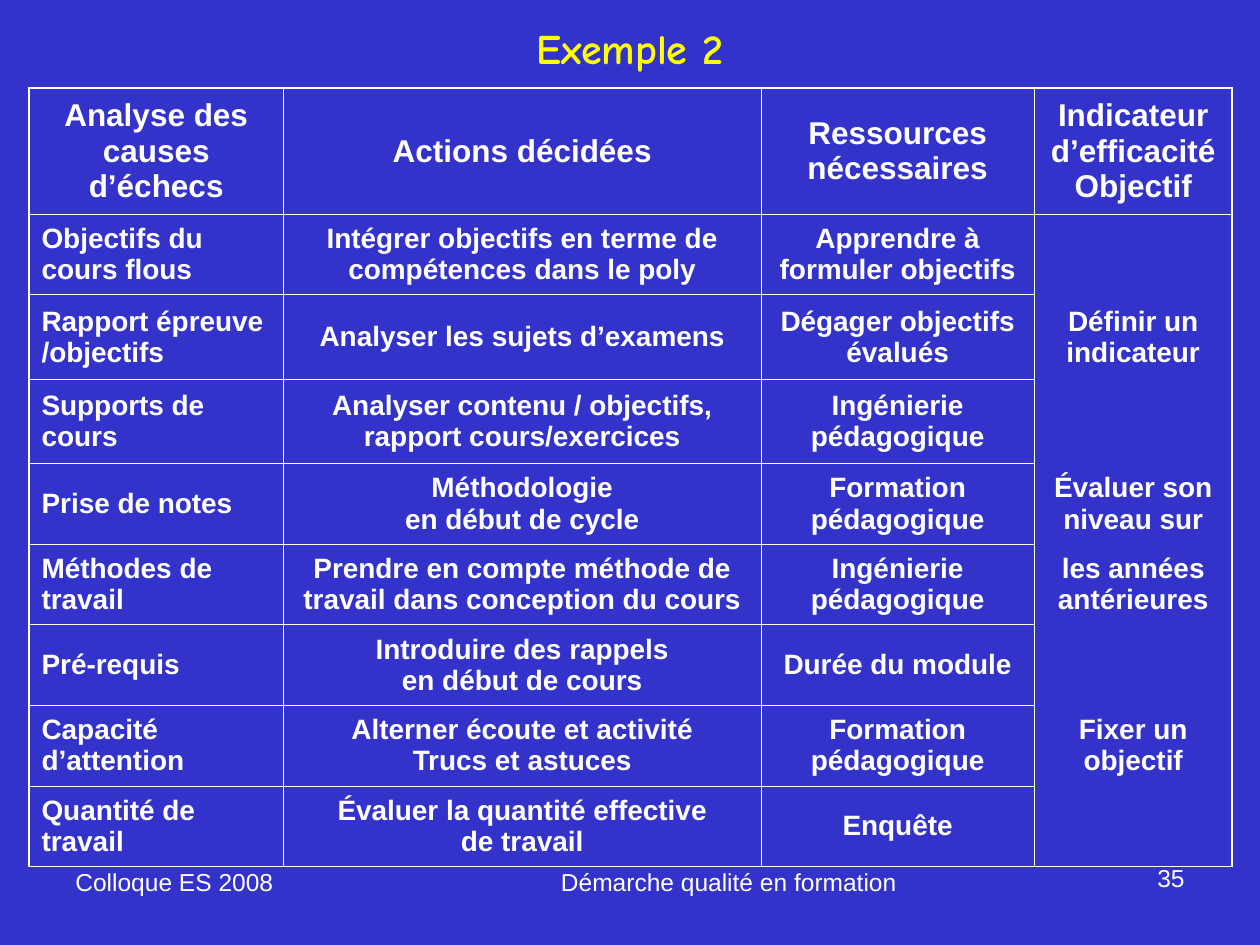
import lxml.etree
import pptx
import pptx.dml.color
import pptx.enum.text
import pptx.oxml.ns
import pptx.util

Inches = pptx.util.Inches
ALIGN = pptx.enum.text.PP_ALIGN
MIDDLE = pptx.enum.text.MSO_ANCHOR.MIDDLE

COLORS = {"background": "3333CC", "title": "FFFF00", "text": "FFFFFF", "border": "FFFFFF"}

FONTS = {
    "title": {"name": "Comic Neue", "size": pptx.util.Pt(24), "bold": True},
    "header": {"name": "Arial", "size": pptx.util.Pt(18), "bold": True},
    "cell": {"name": "Arial", "size": pptx.util.Pt(16), "bold": True},
    "footer": {"name": "Arial", "size": pptx.util.Pt(14), "bold": False},
}

COLUMN_WIDTHS = [2.02, 3.79, 2.17, 1.57]
ROW_HEIGHTS = [1, 0.64, 0.67, 0.67] + [0.64] * 5
OUTER_LINE, INNER_LINE = 1.08, 0.45

# A vertical tab marks a line break inside a cell.
ROWS = [
    ["Analyse des causes d’échecs", "Actions décidées", "Ressources nécessaires",
     "Indicateur d’efficacité Objectif"],
    ["Objectifs du cours flous", "Intégrer objectifs en terme de compétences dans le poly",
     "Apprendre à formuler objectifs", ""],
    ["Rapport épreuve /objectifs", "Analyser les sujets d’examens",
     "Dégager objectifs évalués", "Définir un indicateur"],
    ["Supports de cours", "Analyser contenu / objectifs, rapport cours/exercices",
     "Ingénierie pédagogique", ""],
    ["Prise de notes", "Méthodologie\ven début de cycle",
     "Formation pédagogique", "Évaluer son niveau sur"],
    ["Méthodes de travail", "Prendre en compte méthode de travail dans conception du cours",
     "Ingénierie pédagogique", "les années antérieures"],
    ["Pré-requis", "Introduire des rappels\ven début de cours", "Durée du module", ""],
    ["Capacité d’attention", "Alterner écoute et activité\vTrucs et astuces",
     "Formation pédagogique", "Fixer un objectif"],
    ["Quantité de travail", "Évaluer la quantité effective\vde travail", "Enquête", ""],
]

FOOTERS = [
    ("Démarche qualité en formation", 3.42, 6.83, 4.73, ALIGN.CENTER),
    ("35", 8.64, 6.8, 0.86, ALIGN.RIGHT),
    ("Colloque ES 2008", 0.5, 6.83, 2.33, ALIGN.LEFT),
]


def rgb(color):
    return pptx.dml.color.RGBColor.from_string(COLORS[color])


def write_text(text_frame, text, style, color, alignment):
    text_frame.word_wrap = True
    paragraph = text_frame.paragraphs[0]
    paragraph.text = text
    paragraph.alignment = alignment
    for name, value in FONTS[style].items():
        setattr(paragraph.font, name, value)
    paragraph.font.color.rgb = rgb(color)


def add_title(slide, text):
    title = slide.shapes.title
    title.left, title.top = Inches(0), Inches(0)
    title.width, title.height = Inches(10), Inches(0.75)
    write_text(title.text_frame, text, "title", "title", ALIGN.CENTER)
    title.text_frame.vertical_anchor = MIDDLE


def set_borders(cell, widths):
    """Draw the cell's edges; a width of None hides the edge."""
    properties = cell._tc.get_or_add_tcPr()
    qn = pptx.oxml.ns.qn
    for position, (edge, width) in enumerate(widths.items()):
        line = lxml.etree.Element(qn(f"a:ln{edge}"))
        properties.insert(position, line)
        if width is None:
            line.set("w", "0")
            lxml.etree.SubElement(line, qn("a:noFill"))
        else:
            line.set("w", str(int(pptx.util.Pt(width))))
            fill = lxml.etree.SubElement(line, qn("a:solidFill"))
            lxml.etree.SubElement(fill, qn("a:srgbClr"), val=COLORS["border"])


def border_widths(row, column):
    """Outer edges are thick; the last column has no rules below its header."""
    last_row, last_column = len(ROWS) - 1, len(COLUMN_WIDTHS) - 1
    open_column = column == last_column
    return {
        "L": OUTER_LINE if column == 0 else INNER_LINE,
        "R": OUTER_LINE if column == last_column else INNER_LINE,
        "T": OUTER_LINE if row == 0 else None if open_column and row > 1 else INNER_LINE,
        "B": OUTER_LINE if row == last_row else None if open_column and row > 0 else INNER_LINE,
    }


def add_action_table(slide):
    table = slide.shapes.add_table(
        len(ROWS), len(COLUMN_WIDTHS), Inches(0.23), Inches(0.7),
        Inches(sum(COLUMN_WIDTHS)), Inches(sum(ROW_HEIGHTS))).table
    table.first_row = table.horz_banding = False
    for column, width in zip(table.columns, COLUMN_WIDTHS):
        column.width = Inches(width)
    for row, height in zip(table.rows, ROW_HEIGHTS):
        row.height = Inches(height)
    for row, texts in enumerate(ROWS):
        for column, text in enumerate(texts):
            cell = table.cell(row, column)
            cell.fill.background()
            cell.vertical_anchor = MIDDLE
            alignment = ALIGN.LEFT if row and column == 0 else ALIGN.CENTER
            write_text(cell.text_frame, text, "cell" if row else "header", "text", alignment)
            set_borders(cell, border_widths(row, column))


def add_footer(slide, text, left, top, width, alignment):
    box = slide.shapes.add_textbox(Inches(left), Inches(top), Inches(width), Inches(0.52))
    write_text(box.text_frame, text, "footer", "text", alignment)


def main():
    presentation = pptx.Presentation()
    presentation.slide_width, presentation.slide_height = Inches(10), Inches(7.5)
    slide = presentation.slides.add_slide(presentation.slide_layouts.get_by_name("Title Only"))
    slide.background.fill.solid()
    slide.background.fill.fore_color.rgb = rgb("background")
    add_title(slide, "Exemple 2")
    add_action_table(slide)
    for footer in FOOTERS:
        add_footer(slide, *footer)
    presentation.save("out.pptx")


if __name__ == "__main__":
    main()
